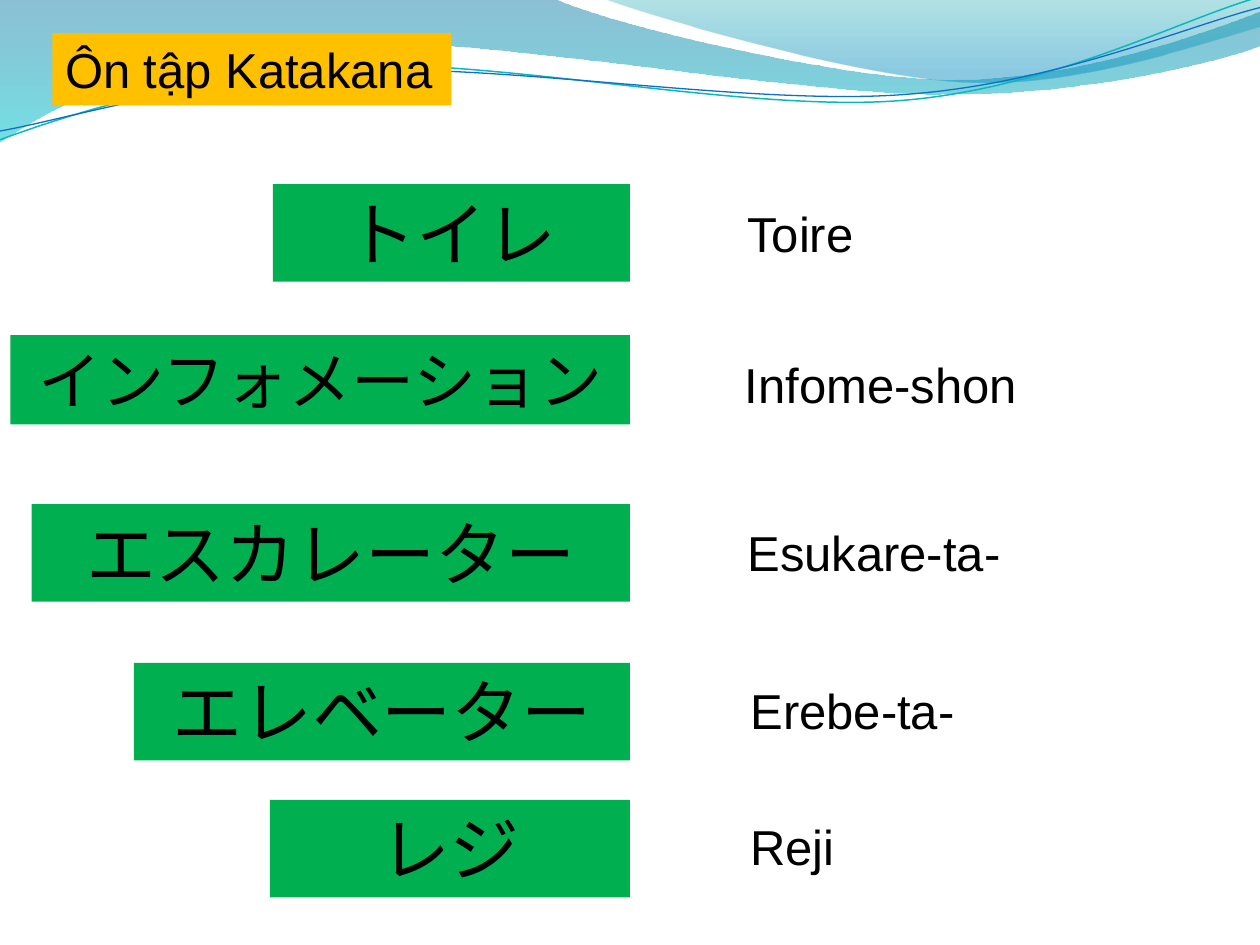
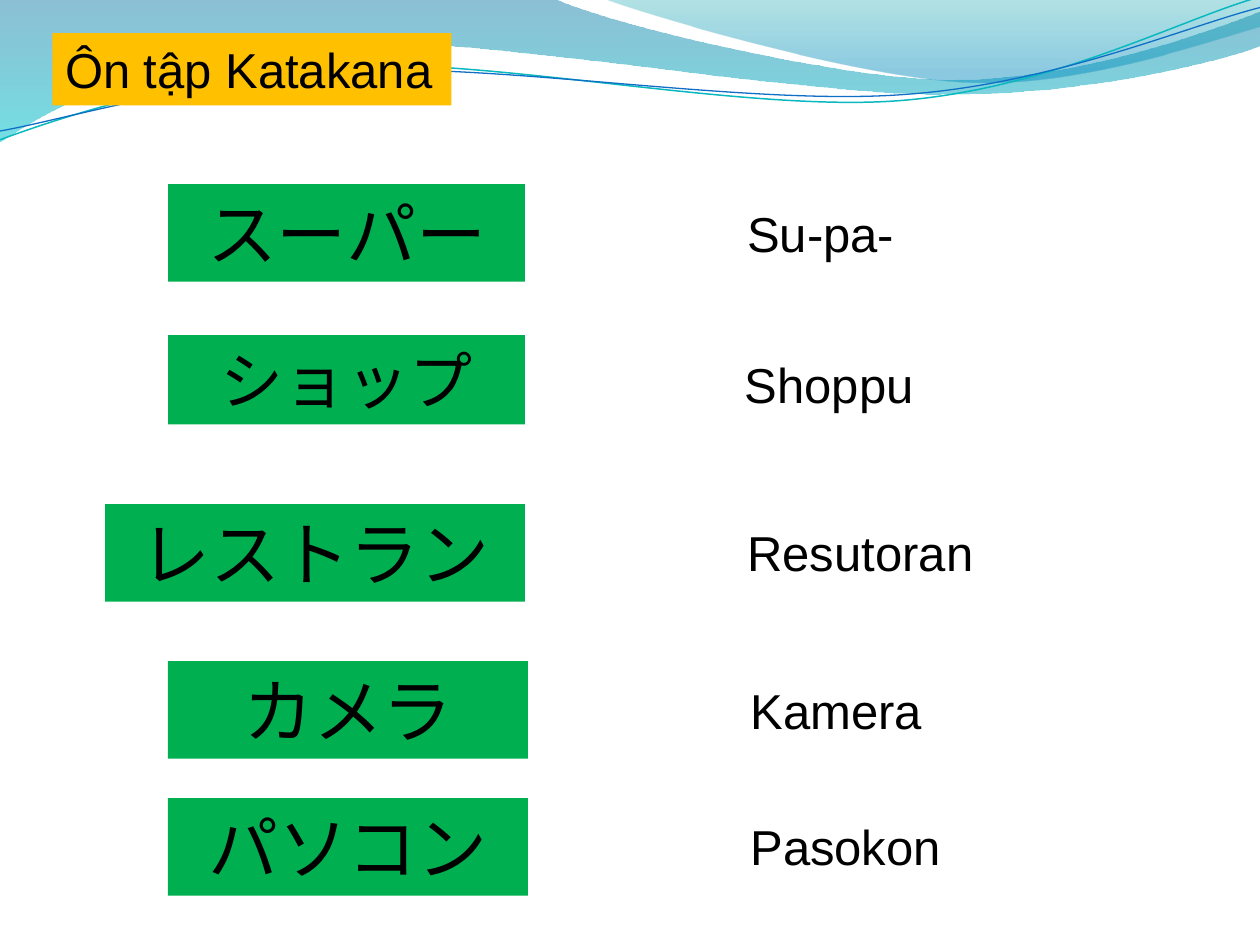
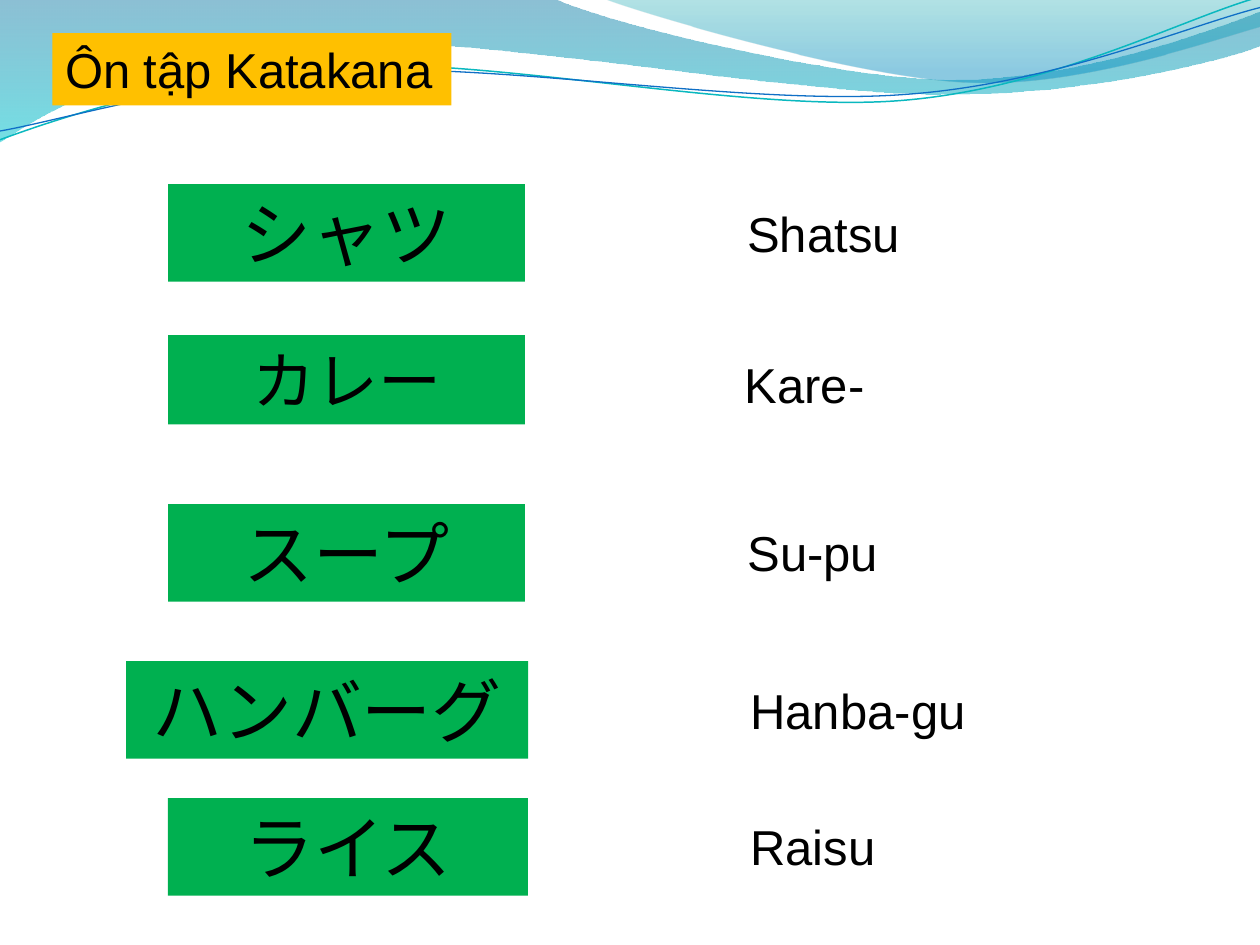
from lxml import etree
from pptx import Presentation
from pptx.dml.color import RGBColor
from pptx.enum.shapes import MSO_SHAPE
from pptx.enum.text import MSO_ANCHOR, MSO_AUTO_SIZE, PP_ALIGN
from pptx.oxml.ns import qn
from pptx.util import Pt

RECT = MSO_SHAPE.RECTANGLE
TOP = MSO_ANCHOR.TOP
FIXED, GROW = MSO_AUTO_SIZE.NONE, MSO_AUTO_SIZE.SHAPE_TO_FIT_TEXT
LEFT, CENTER = PP_ALIGN.LEFT, PP_ALIGN.CENTER

BLACK = RGBColor(0x00, 0x00, 0x00)
GREEN = RGBColor(0x00, 0xB0, 0x50)
AMBER = RGBColor(0xFF, 0xC0, 0x00)
DEEP_BLUE = RGBColor(0x00, 0x74, 0xA1)
AQUA = RGBColor(0x00, 0xC6, 0xCF)
TEAL = RGBColor(0x00, 0xA1, 0xA9)
SKY_BLUE = RGBColor(0x00, 0x8B, 0xBF)
TEAL_LINE = RGBColor(0x0A, 0xB8, 0xBF)
BLUE_LINE = RGBColor(0x0F, 0x6F, 0xC6)

TITLE = "Ôn tập Katakana"
LATIN_FONT, KANA_FONT = "Arial", "Roboto"
TEXT_HEIGHT = 41.25
WAVE_ROTATION = 357.3

# Paths in points: two numbers make a straight segment, six a Bezier curve.
# Gradient stops: position, colour, opacity in percent.
BANDS = [
    ([(0, 0), (316.8, -0.7), (342.7, 12.2, 478.1, 45.4, 545.8, 45.4),
      (614.2, 45.4, 689.8, 18.7, 720, 6.5), (720.7, 25.9),
      (707.8, 31.7, 626.4, 54.7, 537.1, 54),
      (447.8, 54, 275, 20.2, 185, 24.5),
      (92.9, 25.9, 33.1, 59.8, -0.7, 81.4)],
     [(0, DEEP_BLUE, 45), (1, AQUA, 55)]),
    ([(344.9, -0.7), (366.5, 7.9, 491, 44.6, 553.7, 46.8),
      (616.3, 49.7, 691.9, 23, 720, 15.1), (720, 0)],
     [(0, TEAL, 30), (0.8, SKY_BLUE, 45)]),
]
WAVE_LINES = [
    ([(-1.4, 62.9), (33.8, 51.7, 114.1, 29.4, 199.8, 29.9),
      (284.8, 30.3, 425.9, 67.3, 512.5, 64.8),
      (599.1, 62.4, 676.5, 25.7, 720.2, 15.6)], TEAL_LINE, 0.85),
    ([(-1.1, 57.9), (32.9, 53.7, 118.3, 32.5, 204.1, 33),
      (290.5, 33.4, 428.9, 63.8, 515.5, 61.4),
      (601.4, 59.6, 678.4, 30.1, 721.4, 21.3)], BLUE_LINE, 0.75),
]

# Kana box height and text size; reading left, top and width
ROWS = [
    (55.75, 40, 420, 112.5, 158),
    (51, 36, 418.5, 199.25, 199),
    (55.75, 40, 420, 295.25, 198),
    (55.75, 40, 421.75, 385.25, 198),
    (55.75, 40, 421.75, 463, 198),
]

# Tops and right edges of the kana boxes, then kana, reading and left edge
SLIDES = [
    ((105.25, 191.5, 288, 378.75, 457), (360, 360, 360, 360, 360),
     [("トイレ", "Toire", 156), ("インフォメーション", "Infome-shon", 6),
      ("エスカレーター", "Esukare-ta-", 18),
      ("エレベーター", "Erebe-ta-", 76.5), ("レジ", "Reji", 154.25)]),
    ((105.25, 191.5, 288, 377.75, 456), (300, 300, 300, 301.75, 301.75),
     [("スーパー", "Su-pa-", 96), ("ショップ", "Shoppu", 96),
      ("レストラン", "Resutoran", 60), ("カメラ", "Kamera", 96),
      ("パソコン", "Pasokon", 96)]),
    ((105.25, 191.5, 288, 377.75, 456), (300, 300, 300, 301.75, 301.75),
     [("シャツ", "Shatsu", 96), ("カレー", "Kare-", 96),
      ("スープ", "Su-pu", 96), ("ハンバーグ", "Hanba-gu", 72),
      ("ライス", "Raisu", 96)]),
]


def apply(target, values):
    for name, value in values.items():
        setattr(target, name, value)


def add_path(s, path, close):
    """Outline all points of a path, then join each curve's three into one."""
    start, *rest = [(Pt(seg[i]), Pt(seg[i + 1]))
                    for seg in path for i in range(0, len(seg), 2)]
    builder = s.shapes.build_freeform(*start)
    builder.add_line_segments(rest, close=close)
    sp = builder.convert_to_shape()
    sp.shadow.inherit = False
    steps = iter(list(sp.element.iter(qn("a:lnTo"))))
    for seg in path[1:]:
        step = next(steps)
        if len(seg) == 6:
            step.tag = qn("a:cubicBezTo")
            for extra in (next(steps), next(steps)):
                step.append(extra[0])
                extra.getparent().remove(extra)
    return sp


def add_band(s, path, stops):
    sp = add_path(s, path, True)
    sp.line.fill.background()
    sp.fill.gradient()
    sp.fill.gradient_angle = 270
    for stop, (position, color, _) in zip(sp.fill.gradient_stops, stops):
        stop.position = position
        stop.color.rgb = color
    for clr, (_, _, opacity) in zip(sp.element.iter(qn("a:srgbClr")), stops):
        etree.SubElement(clr, qn("a:alpha"), val=str(opacity * 1000))
    return sp


def add_wave_line(s, path, color, width):
    sp = add_path(s, path, False)
    sp.rotation = WAVE_ROTATION
    sp.fill.background()
    sp.line.color.rgb = color
    sp.line.width = Pt(width)
    return sp


def move_waves_to_layout(s):
    """Draw the waves on s, then hand them to its layout for all slides."""
    waves = [add_band(s, *band) for band in BANDS]
    waves += [add_wave_line(s, *line) for line in WAVE_LINES]
    for sp in waves:
        s.slide_layout.shapes.element.append(sp.element)


def set_text(sp, text, size, font=LATIN_FONT, align=LEFT, fit=GROW):
    tf = sp.text_frame
    apply(tf, {"word_wrap": True, "auto_size": fit, "vertical_anchor": TOP})
    p = tf.paragraphs[0]
    p.alignment = align
    r = p.add_run()
    r.text = text
    apply(r.font, {"size": Pt(size), "name": font})
    r.font.color.rgb = BLACK
    etree.SubElement(r.font._element, qn("a:ea"), typeface=font)


def fill_solid(sp, color):
    sp.fill.solid()
    sp.fill.fore_color.rgb = color
    sp.line.fill.background()


def set_title(s):
    sp = s.shapes.title
    apply(sp, {"left": Pt(30), "top": Pt(19), "width": Pt(228), "height": Pt(TEXT_HEIGHT)})
    fill_solid(sp, AMBER)
    set_text(sp, TITLE, 28, fit=FIXED)


def add_kana_box(s, text, size, left, top, width, height):
    sp = s.shapes.add_shape(RECT, Pt(left), Pt(top), Pt(width), Pt(height))
    sp.shadow.inherit = False
    fill_solid(sp, GREEN)
    set_text(sp, text, size, KANA_FONT, CENTER)


def add_reading(s, text, left, top, width):
    sp = s.shapes.add_textbox(Pt(left), Pt(top), Pt(width), Pt(TEXT_HEIGHT))
    set_text(sp, text, 28)


def main():
    prs = Presentation()
    prs.slide_width, prs.slide_height = Pt(720), Pt(540)
    layout = prs.slide_layouts[5]
    for number, (tops, rights, words) in enumerate(SLIDES):
        s = prs.slides.add_slide(layout)
        if number == 0:
            move_waves_to_layout(s)
        set_title(s)
        for row, top, right, (kana, reading, left) in zip(ROWS, tops, rights, words):
            height, size, *reading_place = row
            add_kana_box(s, kana, size, left, top, right - left, height)
            add_reading(s, reading, *reading_place)
    prs.save("out.pptx")


if __name__ == "__main__":
    main()
